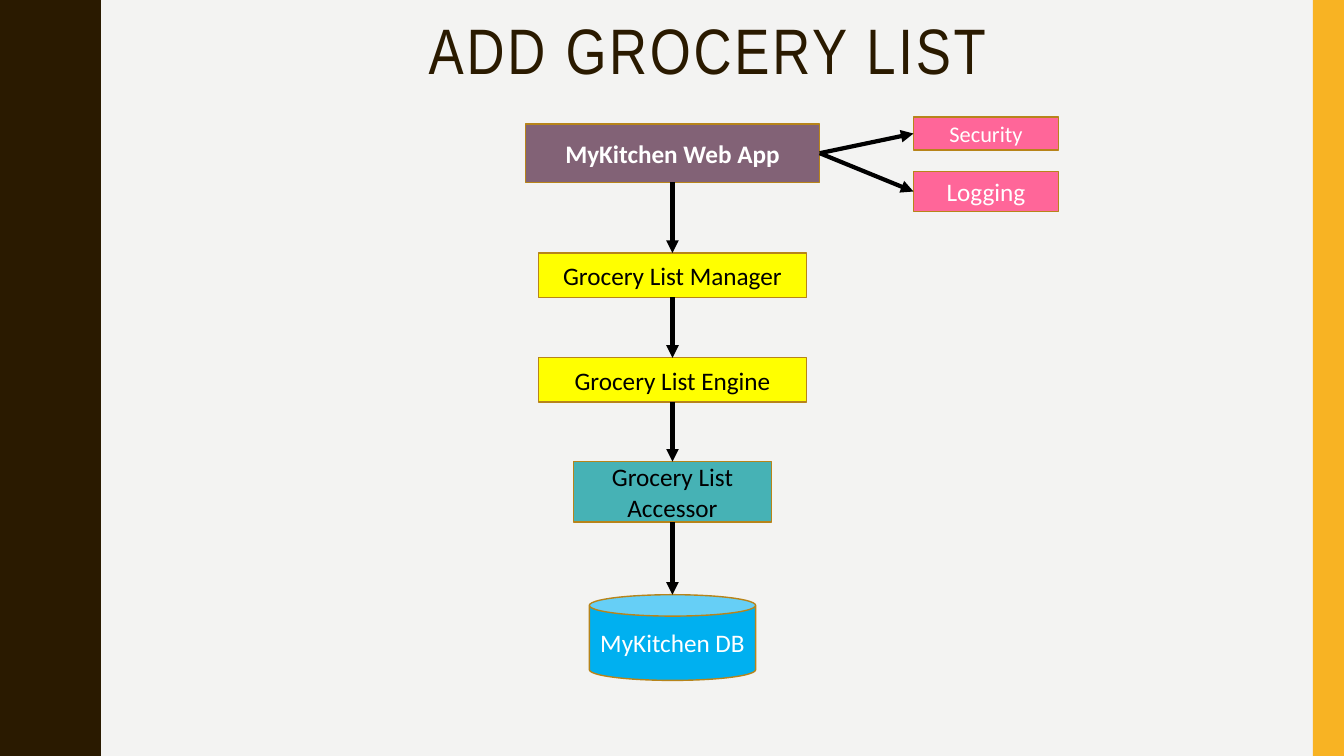
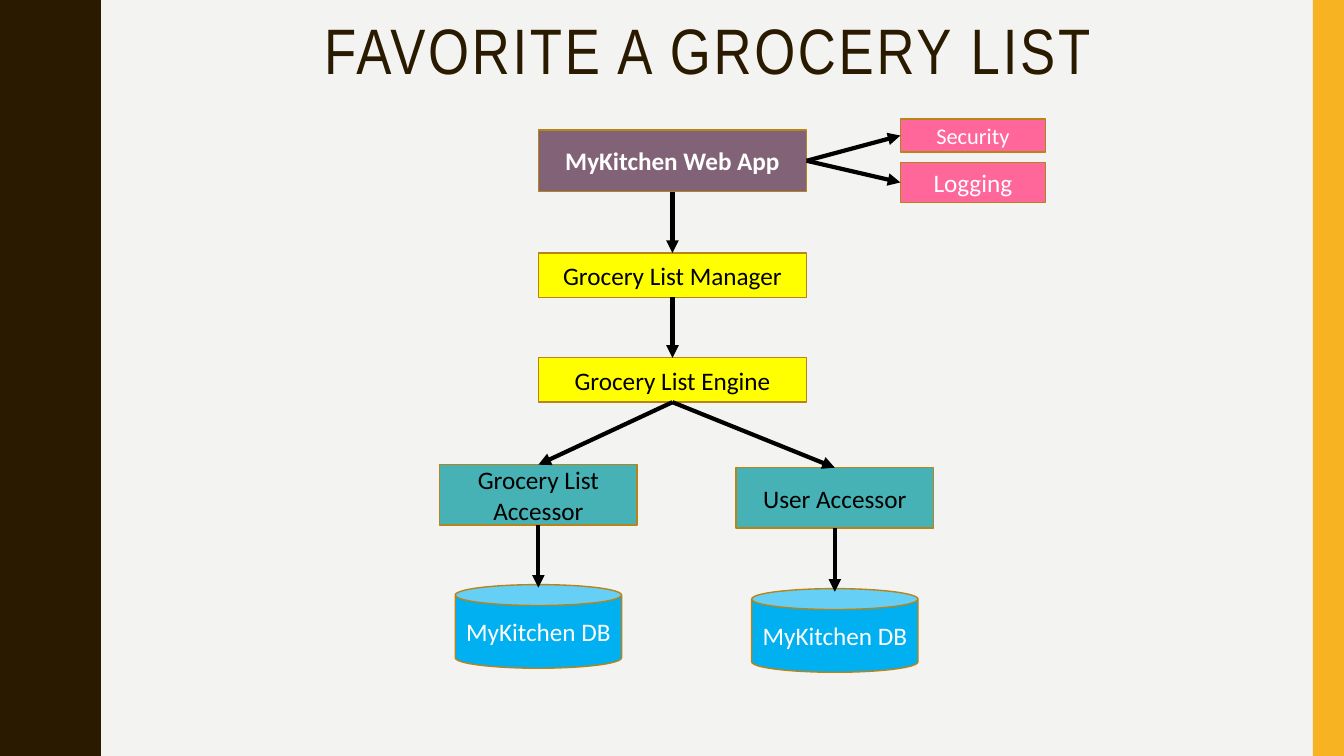
from lxml.etree import SubElement
from pptx import Presentation
from pptx.dml.color import RGBColor
from pptx.enum.shapes import MSO_CONNECTOR, MSO_SHAPE
from pptx.enum.text import MSO_ANCHOR, MSO_AUTO_SIZE, PP_ALIGN
from pptx.oxml.ns import qn
from pptx.util import Inches, Pt

PAPER, BROWN, GOLD, OUTLINE = "F3F3F2", "2A1A00", "F8B323", "B7841A"
BLACK, WHITE = "000000", "FFFFFF"
TOP, BOTTOM, RIGHT, LEFT = 0, 2, 3, 1
CENTER = 6.67

KINDS = {
    "app": {"fill": "826276", "ink": WHITE, "bold": True},
    "logic": {"fill": "FFFF00", "ink": BLACK, "size": (2.66, 0.44)},
    "accessor": {"fill": "46B2B5", "ink": BLACK, "size": (1.96, 0.6)},
    "database": {"fill": "00B0F0", "ink": WHITE, "shape": MSO_SHAPE.CAN},
    "utility": {"fill": "FF6699", "ink": WHITE},
}
WAVE = [(0.78, 0), (0.78, 0.07), (0.79, 0.14), (0.8, 0.2), (0.81, 0.25),
        (0.83, 0.29), (0.85, 0.33), (0.87, 0.38), (0.89, 0.42), (0.91, 0.46),
        (0.93, 0.5), (0.95, 0.55), (0.96, 0.61), (0.97, 0.68), (0.97, 0.75)]


def color(value):
    """Turn a hex string into a colour."""
    return RGBColor.from_string(value)


def apply(target, formats):
    """Set each attribute named in a dict of format values."""
    for name, value in formats.items():
        setattr(target, name, value)


def paint(shape, fill):
    """Give a shape a plain fill without shadow or outline."""
    shape.shadow.inherit = False
    shape.fill.solid()
    shape.fill.fore_color.rgb = color(fill)
    shape.line.fill.background()


def write(shape, text, ink, font, spacing=None):
    """Write one centred line of text into a shape."""
    apply(shape.text_frame, {"word_wrap": True, "auto_size": MSO_AUTO_SIZE.NONE,
                             "vertical_anchor": MSO_ANCHOR.MIDDLE})
    para = shape.text_frame.paragraphs[0]
    apply(para, {"alignment": PP_ALIGN.CENTER, "line_spacing": spacing})
    span = para.add_run()
    span.text = text
    apply(span.font, font)
    span.font.color.rgb = color(ink)
    return span


def decorate(deck, layout, page):
    """Place the background, wavy band and gold band on the layout."""
    layout.background.fill.solid()
    layout.background.fill.fore_color.rgb = color(PAPER)
    period = WAVE + [(x, 1.5 - y) for x, y in reversed(WAVE[:-1])]
    edge = [(x, y + 1.5 * turn) for turn in range(5) for x, y in period]
    outline = page.shapes.build_freeform(0, 0, scale=Inches(1))
    outline.add_line_segments(edge + [(0, 7.5)], close=True)
    wavy_band = outline.convert_to_shape()
    gold_band = page.shapes.add_shape(
        MSO_SHAPE.RECTANGLE, Inches(13.02), 0, Inches(0.31), deck.slide_height)
    for band, fill in ((wavy_band, BROWN), (gold_band, GOLD)):
        paint(band, fill)
        layout.shapes.element.insert(2, band.element)


def add_title(page, text):
    """Move, fill and format the title placeholder."""
    title = page.shapes.title
    apply(title, {"left": Inches(1.27), "top": Inches(0.18),
                  "width": Inches(11.5), "height": Inches(0.7)})
    font = {"name": "Arial Narrow", "size": Pt(45.9)}
    span = write(title, text, BROWN, font, 0.9)
    span.font._element.set("spc", "200")


def add_box(page, kind, text, center, top, size=None, points=18):
    """Add a labelled box of one kind, centred on a horizontal position."""
    look = KINDS[kind]
    width, height = size or look["size"]
    box = page.shapes.add_shape(
        look.get("shape", MSO_SHAPE.RECTANGLE), Inches(center - width / 2),
        Inches(top), Inches(width), Inches(height))
    paint(box, look["fill"])
    box.line.color.rgb = color(OUTLINE)
    box.line.width = Pt(1)
    write(box, text, look["ink"], {"name": "Calibri", "size": Pt(points),
                                   "bold": look.get("bold", False)})
    return box


def add_arrow(page, start, end, side=BOTTOM, end_side=TOP):
    """Join two boxes with an arrow."""
    arrow = page.shapes.add_connector(MSO_CONNECTOR.STRAIGHT, 0, 0, 0, 0)
    arrow.begin_connect(start, side)
    if isinstance(end, tuple):
        arrow.end_x, arrow.end_y = end
    else:
        arrow.end_connect(end, end_side)
    arrow.line.color.rgb = color(BLACK)
    arrow.line.width = Pt(3)
    SubElement(arrow.line._get_or_add_ln(), qn("a:tailEnd"), type="triangle")
    SubElement(arrow.element.spPr, qn("a:effectLst"))


def add_logic(page, app_top, app_size, security_top, logging_top):
    """Add the app, its utilities, the manager and the engine; return the engine."""
    app = add_box(page, "app", "MyKitchen Web App", CENTER, app_top, app_size)
    utility_center = CENTER + app_size[0] / 2 + 0.93 + 0.72
    for text, top, height, points in (("Security", security_top, 0.33, 16),
                                      ("Logging", logging_top, 0.4, 18)):
        utility = add_box(page, "utility", text, utility_center, top,
                          (1.44, height), points)
        add_arrow(page, app, utility, RIGHT, LEFT)
    manager = add_box(page, "logic", "Grocery List Manager", CENTER, 2.51)
    engine = add_box(page, "logic", "Grocery List Engine", CENTER, 3.55)
    add_arrow(page, app, manager)
    add_arrow(page, manager, engine)
    return engine


def add_storage(page, engine, text, center, top, database_top, height, overlap=0):
    """Add an accessor with its database below the engine."""
    accessor = add_box(page, "accessor", text, center, top)
    add_box(page, "database", "MyKitchen DB", center, database_top, (1.65, height))
    add_arrow(page, engine, accessor)
    add_arrow(page, accessor, (Inches(center), Inches(database_top + overlap)))


def main():
    """Build both diagrams and save the deck."""
    deck = Presentation()
    apply(deck, {"slide_width": Inches(13.33), "slide_height": Inches(7.5)})
    layout = deck.slide_layouts[5]

    page = deck.slides.add_slide(layout)
    decorate(deck, layout, page)
    add_title(page, "ADD GROCERY LIST")
    engine = add_logic(page, 1.23, (2.92, 0.58), 1.16, 1.7)
    add_storage(page, engine, "Grocery List Accessor", CENTER, 4.58, 5.9, 0.85)

    page = deck.slides.add_slide(layout)
    add_title(page, "FAVORITE A GROCERY LIST")
    engine = add_logic(page, 1.29, (2.66, 0.61), 1.18, 1.61)
    for text, center, top, database_top in (
            ("Grocery List Accessor", 5.34, 4.61, 5.8),
            ("User Accessor", 8.28, 4.64, 5.84)):
        add_storage(page, engine, text, center, top, database_top, 0.83, 0.03)

    deck.save("out.pptx")


if __name__ == "__main__":
    main()
